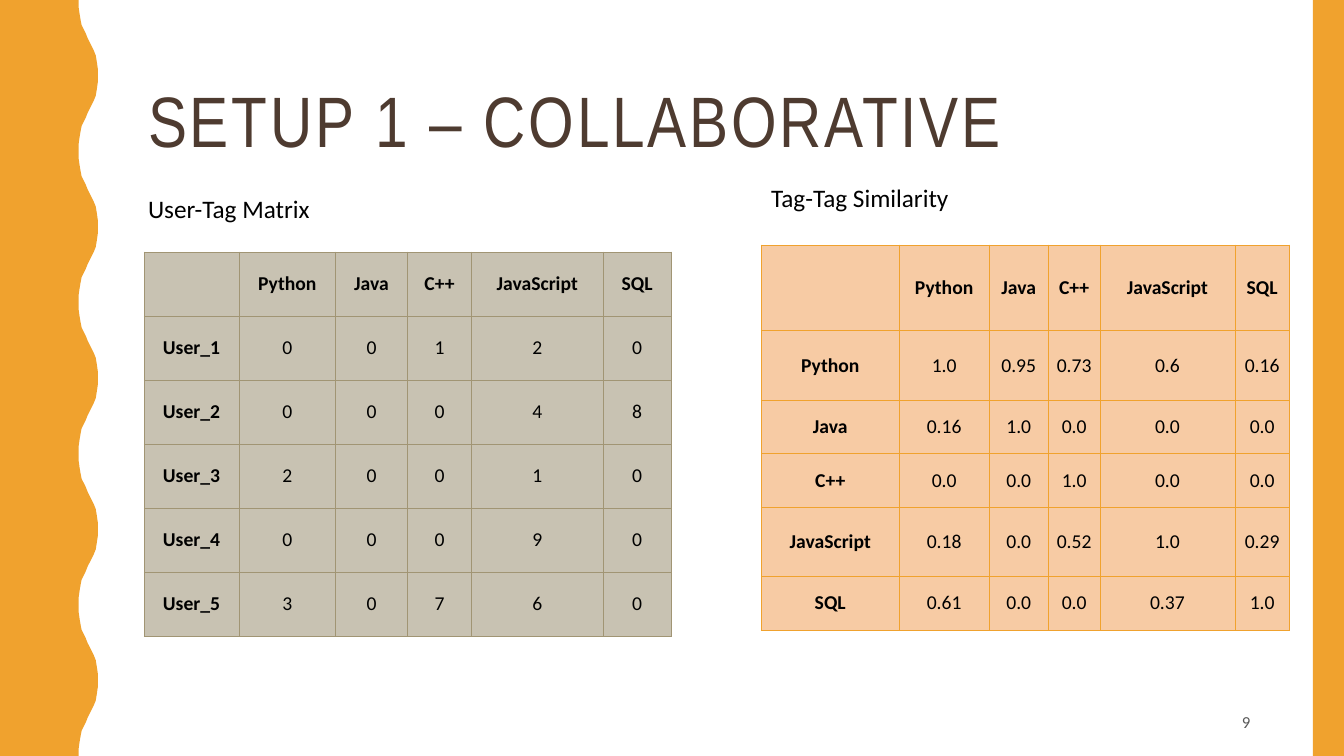
from lxml.etree import SubElement
from pptx import Presentation
from pptx.dml.color import RGBColor
from pptx.enum.shapes import MSO_SHAPE as Shape
from pptx.enum.text import MSO_ANCHOR as Anchor, MSO_AUTO_SIZE as AutoSize, PP_ALIGN as Align
from pptx.oxml.ns import qn
from pptx.util import Inches, Pt

WIDTH, HEIGHT = 13.33, 7.5
COLORS = {
    "orange": "F0A22E", "brown": "4E3B30", "black": "000000", "gray": "595959",
    "khaki_line": "A19574", "khaki": "C8C2B2", "peach": "F7CBA4",
}
WAVE_PERIOD = 1.5
RISING_WAVE = [
    (0.78, 0), (0.78, 0.07), (0.79, 0.14), (0.8, 0.2), (0.81, 0.25),
    (0.83, 0.29), (0.85, 0.33), (0.87, 0.38), (0.89, 0.42), (0.91, 0.46),
    (0.93, 0.5), (0.95, 0.55), (0.96, 0.61), (0.97, 0.68), (0.97, 0.75),
]
TAGS = ["Python", "Java", "C++", "JavaScript", "SQL"]
USER_TAG = {
    "User_1": ["0", "0", "1", "2", "0"],
    "User_2": ["0", "0", "0", "4", "8"],
    "User_3": ["2", "0", "0", "1", "0"],
    "User_4": ["0", "0", "0", "9", "0"],
    "User_5": ["3", "0", "7", "6", "0"],
}
TAG_TAG = {
    "Python": ["1.0", "0.95", "0.73", "0.6", "0.16"],
    "Java": ["0.16", "1.0", "0.0", "0.0", "0.0"],
    "C++": ["0.0", "0.0", "1.0", "0.0", "0.0"],
    "JavaScript": ["0.18", "0.0", "0.52", "1.0", "0.29"],
    "SQL": ["0.61", "0.0", "0.0", "0.37", "1.0"],
}


def rgb(name):
    return RGBColor.from_string(COLORS[name])


def inches(box):
    return [Inches(length) for length in box]


def write(frame, text, size=14, color="black", font="Calibri", bold=False,
          align=Align.LEFT, anchor=Anchor.TOP, wrap=True, line_spacing=None, tracking=None):
    frame.word_wrap = wrap
    frame.vertical_anchor = anchor
    para = frame.paragraphs[0]
    para.alignment = align
    para.line_spacing = line_spacing
    span = para.add_run()
    span.text = text
    span.font.size = Pt(size)
    span.font.name = font
    span.font.bold = bold
    span.font.color.rgb = rgb(color)
    if tracking:
        span.font._element.set("spc", str(tracking * 100))


def paint(shape):
    shape.shadow.inherit = False
    shape.fill.solid()
    shape.fill.fore_color.rgb = rgb("orange")
    shape.line.fill.background()


def add_wavy_band(page, left, top, height):
    falling = [(x, WAVE_PERIOD - y) for x, y in RISING_WAVE[-2::-1]]
    period = RISING_WAVE + falling
    edge = [(left + x, top + y + WAVE_PERIOD * turn)
            for turn in range(round(height / WAVE_PERIOD)) for x, y in period]
    builder = page.shapes.build_freeform(Inches(left), Inches(top))
    builder.add_line_segments([inches(point) for point in edge + [(left, top + height)]])
    paint(builder.convert_to_shape())


def add_side_bar(page, box):
    paint(page.shapes.add_shape(Shape.RECTANGLE, *inches(box)))


def add_title(page, box, text):
    title = page.shapes.title
    title.left, title.top, title.width, title.height = inches(box)
    title.text_frame.auto_size = AutoSize.NONE
    write(title.text_frame, text, size=51, color="brown", font="Arial Narrow",
          anchor=Anchor.MIDDLE, line_spacing=0.9, tracking=2)


def add_label(page, box, text, **style):
    write(page.shapes.add_textbox(*inches(box)).text_frame, text, **style)


def outline(cell, color):
    properties = cell._tc.get_or_add_tcPr()
    for side in ("a:lnL", "a:lnR", "a:lnT", "a:lnB"):
        line = SubElement(properties, qn(side), w=str(Pt(0.5)))
        SubElement(SubElement(line, qn("a:solidFill")), qn("a:srgbClr"), val=COLORS[color])


def add_matrix(page, left, top, widths, heights, scores, fill, line, margin):
    """Draw a table with the tags across the top and the keys of scores down the side."""
    rows = [["", *TAGS]] + [[name, *values] for name, values in scores.items()]
    box = inches((left, top, sum(widths), sum(heights)))
    table = page.shapes.add_table(len(rows), len(widths), *box).table
    for column, width in zip(table.columns, widths):
        column.width = Inches(width)
    for row, height in zip(table.rows, heights):
        row.height = Inches(height)
    for r, texts in enumerate(rows):
        for c, text in enumerate(texts):
            cell = table.cell(r, c)
            outline(cell, line)
            cell.fill.solid()
            cell.fill.fore_color.rgb = rgb(fill)
            cell.margin_left = cell.margin_right = Inches(margin)
            cell.margin_top = cell.margin_bottom = Inches(margin)
            cell.vertical_anchor = Anchor.MIDDLE
            if text:
                write(cell.text_frame, text, bold=r == 0 or c == 0,
                      align=Align.CENTER, anchor=None, wrap=None)


def build_setup_slide(deck):
    page = deck.slides.add_slide(deck.slide_layouts[5])
    add_title(page, (1.37, 0.42, 11.13, 1.63), "SETUP 1 – COLLABORATIVE")
    add_wavy_band(page, 0, 0, HEIGHT)
    add_side_bar(page, (13.02, 0, 0.31, HEIGHT))
    add_matrix(page, 1.43, 2.5, [0.94, 0.96, 0.71, 0.64, 1.3, 0.68], [0.635] * 6,
               USER_TAG, fill="khaki", line="khaki_line", margin=0.06)
    add_label(page, (1.37, 1.87, 1.83, 0.4), "User-Tag Matrix", size=18, wrap=False)
    add_matrix(page, 7.55, 2.43, [1.37, 0.89, 0.59, 0.51, 1.34, 0.54],
               [0.85, 0.69, 0.53, 0.53, 0.69, 0.53],
               TAG_TAG, fill="peach", line="orange", margin=0.02)
    add_label(page, (7.55, 1.76, 1.96, 0.4), "Tag-Tag Similarity", size=18, wrap=False)
    add_label(page, (9.42, 6.97, 3.08, 0.38), "9", size=12, color="gray",
              align=Align.RIGHT, anchor=Anchor.MIDDLE)


def main():
    deck = Presentation()
    deck.slide_width, deck.slide_height = inches((WIDTH, HEIGHT))
    build_setup_slide(deck)
    deck.save("out.pptx")


if __name__ == "__main__":
    main()
